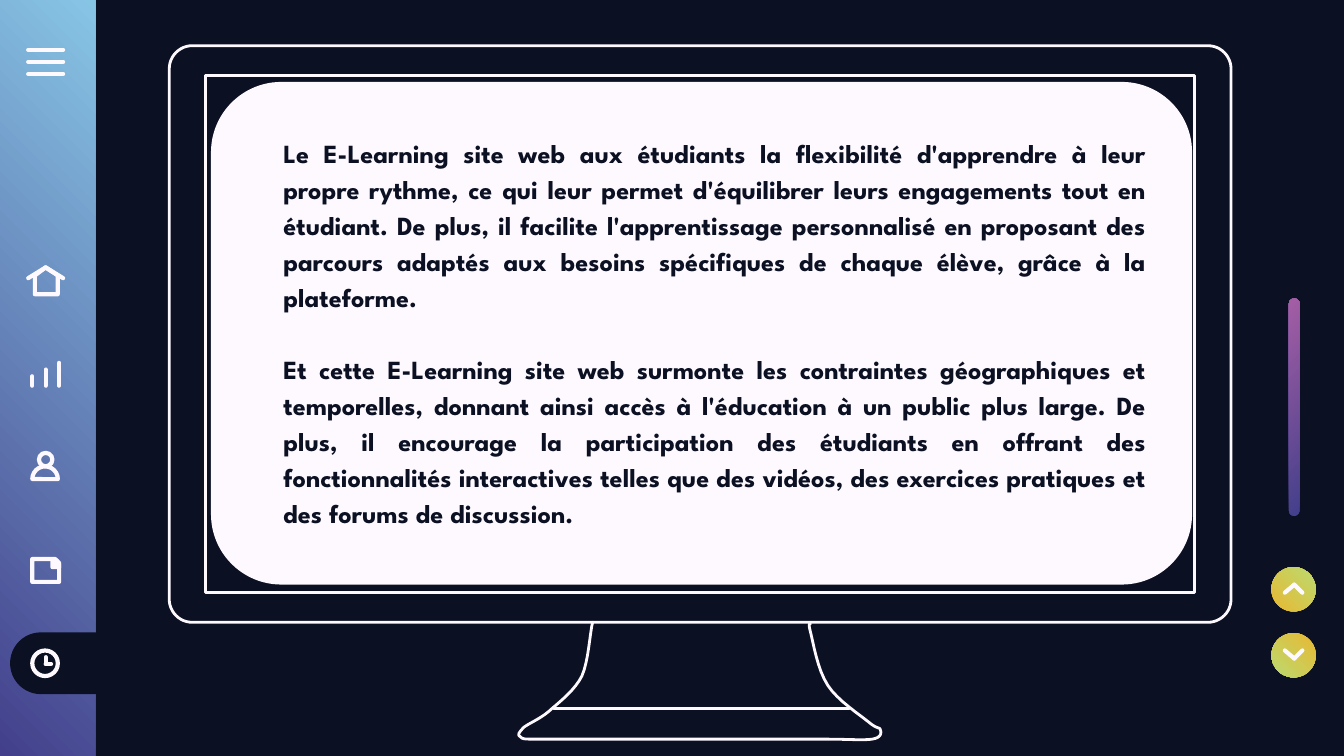
from lxml.etree import SubElement
from pptx import Presentation
from pptx.dml.color import RGBColor
from pptx.enum.shapes import MSO_CONNECTOR, MSO_SHAPE
from pptx.enum.text import MSO_ANCHOR, PP_ALIGN
from pptx.oxml.ns import qn
from pptx.util import Inches, Pt

HUES = {"night": "0B1022", "snow": "FDF9FF", "indigo": "433F8B", "sky": "87C5E5",
        "plum": "A55EA5", "gold": "E8B832", "lime": "BBDB70"}
WIDE = 10
HIGH = WIDE * 9 / 16
FONT = {"name": "League Spartan", "size": Pt(14), "bold": True}
PARA = {"alignment": PP_ALIGN.JUSTIFY, "line_spacing": 1.15}
FRAME = {"word_wrap": True, "vertical_anchor": MSO_ANCHOR.MIDDLE,
         "margin_left": Inches(0.1), "margin_right": Inches(0.1),
         "margin_top": Inches(0.1), "margin_bottom": Inches(0.1)}
TEXTS = [
    "Le E-Learning site web aux étudiants la flexibilité d'apprendre à leur propre rythme, "
    "ce qui leur permet d'équilibrer leurs engagements tout en étudiant. De plus, il facilite "
    "l'apprentissage personnalisé en proposant des parcours adaptés aux besoins spécifiques "
    "de chaque élève, grâce à la plateforme.",
    "Et cette E-Learning site web surmonte les contraintes géographiques et temporelles, "
    "donnant ainsi accès à l'éducation à un public plus large. De plus, il encourage la "
    "participation des étudiants en offrant des fonctionnalités interactives telles que des "
    "vidéos, des exercices pratiques et des forums de discussion.",
]
STAND = [
    (0.55, 0), (0.53, 0.07), (0.52, 0.29), (0.47, 0.4), (0.42, 0.5), (0.32, 0.58),
    (0.25, 0.64), (0.18, 0.71), (0.08, 0.75), (0.04, 0.78), (0, 0.82), (-0.01, 0.84),
    (0.01, 0.85), (0.03, 0.87), (0.03, 0.87), (0.14, 0.87), (0.25, 0.87), (0.45, 0.87),
    (0.66, 0.87), (0.88, 0.87), (1.17, 0.87), (1.44, 0.87), (1.71, 0.87), (2.08, 0.87),
    (2.27, 0.87), (2.47, 0.87), (2.56, 0.88), (2.63, 0.87), (2.7, 0.86), (2.7, 0.82),
    (2.69, 0.8), (2.69, 0.78), (2.67, 0.8), (2.6, 0.74), (2.54, 0.69), (2.37, 0.58),
    (2.3, 0.47), (2.22, 0.35), (2.19, 0.14), (2.17, 0.07), (2.15, -0.01), (2.17, 0.02),
    (2.17, 0.01),
]


def apply(item, values):
    """Set each named attribute on the item."""
    for name, value in values.items():
        setattr(item, name, value)


def tint(name):
    """Return the named colour."""
    return RGBColor.from_string(HUES[name])


def trace(shape, width):
    """Give a shape a light outline with round ends and joins."""
    shape.line.color.rgb = tint("snow")
    shape.line.width = Pt(width)
    edge = shape.element.spPr.find(qn("a:ln"))
    edge.set("cap", "rnd")
    SubElement(edge, qn("a:round"))


def style(shape, fill=None, width=0, angle=0):
    """Apply a plain fill, a colour pair as gradient, or none, and an outline."""
    shape.shadow.inherit = False
    if isinstance(fill, tuple):
        shape.fill.gradient()
        shape.fill.gradient_angle = angle
        for stop, name in zip(shape.fill.gradient_stops, fill):
            stop.color.rgb = tint(name)
    elif fill:
        shape.fill.solid()
        shape.fill.fore_color.rgb = tint(fill)
    else:
        shape.fill.background()
    if width:
        trace(shape, width)
    else:
        shape.line.fill.background()


def add(slide, kind, box, adjust=(), turn=0, **look):
    """Add a styled preset shape in the box."""
    shape = slide.shapes.add_shape(kind, *map(Inches, box))
    for index, value in enumerate(adjust):
        shape.adjustments[index] = value
    shape.rotation = turn
    style(shape, **look)


def stroke(slide, x, y, lines, width=2.25):
    """Draw straight lines given relative to a corner."""
    for x1, y1, x2, y2 in lines:
        ends = map(Inches, (x + x1, y + y1, x + x2, y + y2))
        line = slide.shapes.add_connector(MSO_CONNECTOR.STRAIGHT, *ends)
        trace(line, width)
        SubElement(line.element.spPr, qn("a:effectLst"))


def outline(slide, x, y, points, close=True, **look):
    """Draw a freeform through points given relative to a corner."""
    spots = [(Inches(x + dx), Inches(y + dy)) for dx, dy in points]
    path = slide.shapes.build_freeform(*spots[0], scale=1.0)
    path.add_line_segments(spots[1:], close=close)
    style(path.convert_to_shape(), **look)


def curve(points, steps=8):
    """Sample a chain of cubic curves."""
    result = [points[0]]
    for start in range(0, len(points) - 1, 3):
        a, b, c, d = points[start:start + 4]
        for step in range(1, steps + 1):
            t = step / steps
            u = 1 - t
            result.append(tuple(u**3 * p + 3 * u * u * t * q + 3 * u * t * t * r + t**3 * s
                                for p, q, r, s in zip(a, b, c, d)))
    return result


def menu(slide, x, y, w, h):
    """Draw the side bar with its icons and the active tab."""
    add(slide, MSO_SHAPE.RECTANGLE, (x, y, w, h), fill=("indigo", "sky"), angle=45)
    add(slide, MSO_SHAPE.ROUND_2_SAME_RECTANGLE, (x + 0.21, y + 4.57, 0.46, 0.73),
        (0.5, 0), 270, fill="night")
    left = x + 0.21
    stroke(slide, left, y + 0.37, [(0, n * 0.09, 0.26, n * 0.09) for n in range(3)])
    stroke(slide, left, y + 1.99, [(end, 0.08, 0.13, 0) for end in (0, 0.26)])
    outline(slide, left, y + 1.99,
            [(0.05, 0.06), (0.05, 0.2), (0.22, 0.2), (0.22, 0.06), (0.13, 0)], width=2.25)
    left = x + 0.24
    stroke(slide, left, y + 2.7,
           [(n * 0.1, 0.1 - n * 0.05, n * 0.1, 0.17) for n in range(3)])
    add(slide, MSO_SHAPE.OVAL, (left + 0.05, y + 3.37, 0.1, 0.1), width=2.25)
    add(slide, MSO_SHAPE.PIE, (left, y + 3.47, 0.19, 0.19), (54.33, 162), 90, width=2.25)
    add(slide, MSO_SHAPE.SNIP_1_RECTANGLE, (left, y + 4.16, 0.2, 0.17), (0.17,), width=2.25)
    outline(slide, left + 0.15, y + 4.17,
            [(0, 0), (0.03, 0), (0.05, 0.03), (0.05, 0.05), (0, 0.05)],
            fill="snow", width=2.25)
    add(slide, MSO_SHAPE.OVAL, (left, y + 4.84, 0.19, 0.19), width=2.25)
    stroke(slide, left + 0.1, y + 4.94, [(0, -0.05, 0, 0), (0.04, 0, 0, 0)])


def screen(slide, x, y, w, h):
    """Draw the monitor, its stand and the light panel."""
    add(slide, MSO_SHAPE.RECTANGLE, (x + 0.27, y + 0.22, w - 0.54, h - 0.44), width=1.5)
    outline(slide, x + 2.6, y + h, curve(STAND), close=False, width=1.5)
    add(slide, MSO_SHAPE.ROUNDED_RECTANGLE, (x, y, w, h), (0.04,), width=1.5)
    stroke(slide, x + 2.86, y + h + 0.64, [(0, 0, 2.2, 0)], 1.5)
    add(slide, MSO_SHAPE.ROUNDED_RECTANGLE, (x + 0.31, y + 0.27, w - 0.6, h - 0.55),
        (0.14,), fill="snow")


def scroll(slide, x, y):
    """Draw the scroll bar and its two round buttons."""
    add(slide, MSO_SHAPE.ROUNDED_RECTANGLE, (x - 0.64, y + 0.77, 1.62, 0.08), (0.5,), 90,
        fill=("indigo", "plum"), angle=225)
    for top, turn, tip, base in ((2.49, 180, 0.19, 0.13), (2, 0, 0.13, 0.19)):
        add(slide, MSO_SHAPE.OVAL, (x, y + top, 0.33, 0.33), turn=turn,
            fill=("gold", "lime"), angle=45)
        stroke(slide, x, y + top, [(0.17, tip, end, base) for end in (0.1, 0.23)])


def prose(slide, x, y, w, h):
    """Write the justified paragraphs."""
    frame = slide.shapes.add_textbox(*map(Inches, (x, y, w, h))).text_frame
    apply(frame, FRAME)
    for index, text in enumerate(TEXTS):
        para = frame.add_paragraph() if index else frame.paragraphs[0]
        apply(para, PARA)
        para.space_before = Pt(19.3 * index)
        run = para.add_run()
        run.text = text
        apply(run.font, FONT)
        run.font.color.rgb = tint("night")


def main():
    """Build and save the slide."""
    deck = Presentation()
    apply(deck, {"slide_width": Inches(WIDE), "slide_height": Inches(HIGH)})
    slide = deck.slides.add_slide(deck.slide_layouts[6])
    slide.background.fill.solid()
    slide.background.fill.fore_color.rgb = tint("night")
    menu(slide, 0, 0, 0.71, HIGH)
    screen(slide, 1.26, 0.34, 7.9, 4.29)
    scroll(slide, 9.46, 2.22)
    prose(slide, 2.01, 0.77, 6.62, 3.38)
    deck.save("out.pptx")


if __name__ == "__main__":
    main()
